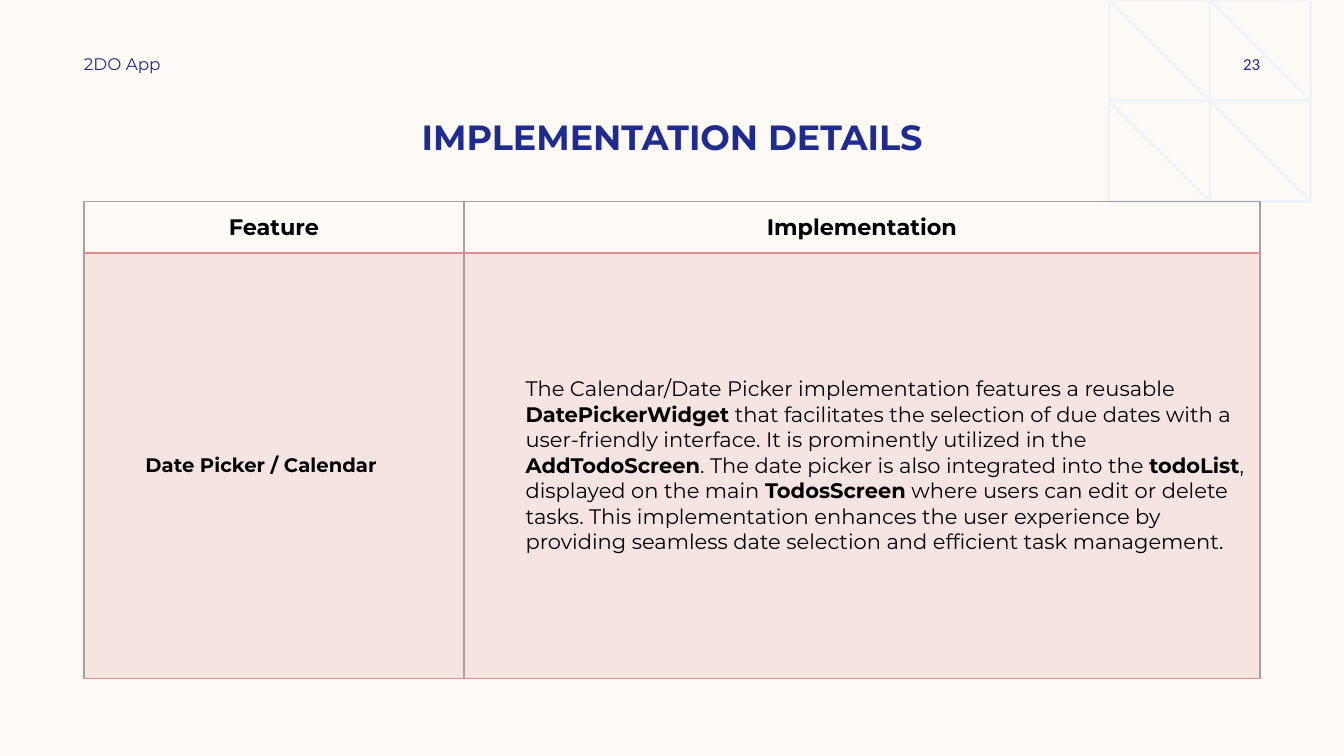
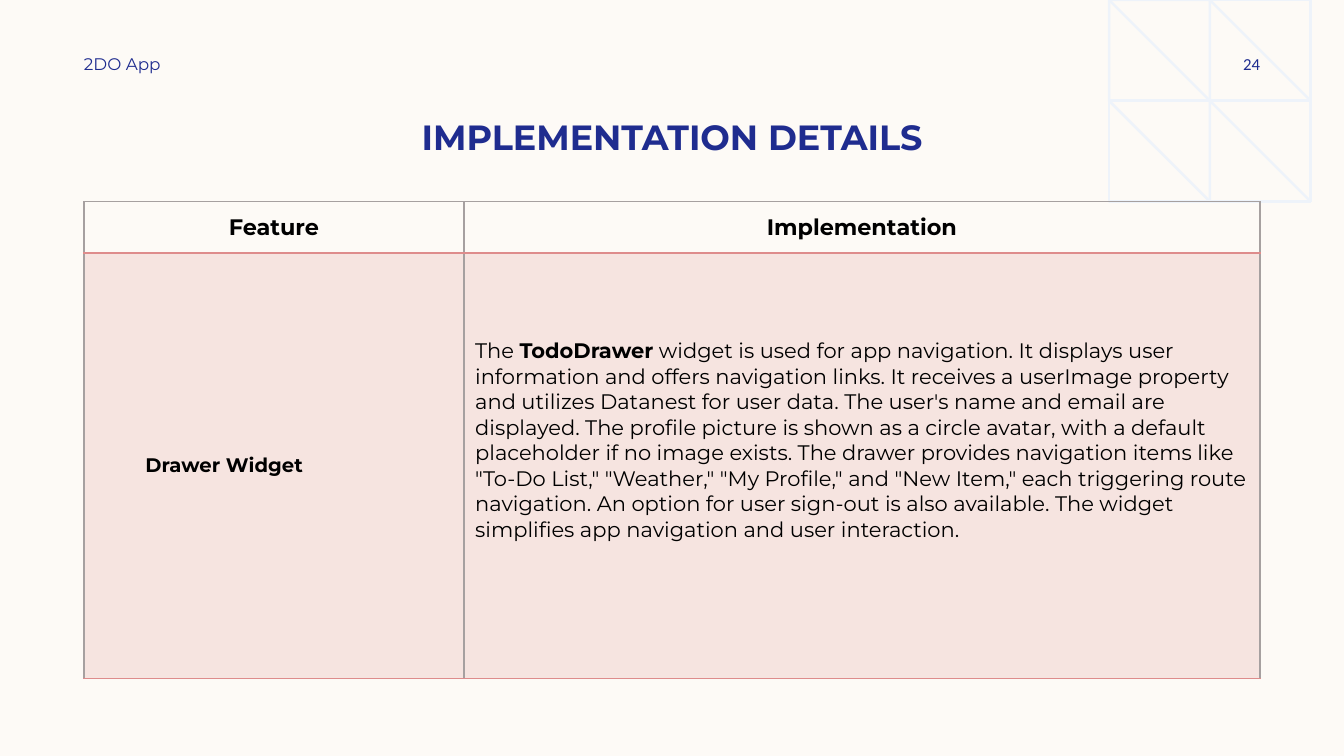
import math

from lxml import etree
from pptx import Presentation
from pptx import util as u
from pptx.dml.color import RGBColor
from pptx.enum import text
from pptx.oxml.ns import qn

CREAM, NAVY, BLACK = "FDFAF6", "1F2C8F", "000000"
ROSE, GREY, ICE = "DE8C8C", "A6A0A0", "EEF3FA"
FONT = "Montserrat"
LEFT, CENTER, RIGHT = text.PP_ALIGN.LEFT, text.PP_ALIGN.CENTER, text.PP_ALIGN.RIGHT
MIDDLE = text.MSO_ANCHOR.MIDDLE

FEATURES = [
    ("23", "Date Picker / Calendar",
     "The Calendar/Date Picker implementation features a reusable **DatePickerWidget** that "
     "facilitates the selection of due dates with a user-friendly interface. It is prominently "
     "utilized in the **AddTodoScreen**. The date picker is also integrated into the "
     "**todoList**, displayed on the main **TodosScreen** where users can edit or delete tasks. "
     "This implementation enhances the user experience by providing seamless date selection and "
     "efficient task management.",
     0.5, 0.05),
    ("24", "Drawer Widget",
     "The **TodoDrawer** widget is used for app navigation. It displays user information and "
     "offers navigation links. It receives a userImage property and utilizes Datanest for user "
     "data. The user's name and email are displayed. The profile picture is shown as a circle "
     "avatar, with a default placeholder if no image exists. The drawer provides navigation "
     "items like \"To-Do List,\" \"Weather,\" \"My Profile,\" and \"New Item,\" each triggering "
     "route navigation. An option for user sign-out is also available. The widget simplifies "
     "app navigation and user interaction.",
     0, 0.55),
]


def color(value):
    return RGBColor.from_string(value)


def write(frame, content, size, ink, align, font=FONT, bold=False):
    """Write one paragraph; words between double asterisks are bold."""
    frame.word_wrap = True
    para = frame.paragraphs[0]
    para.alignment = align
    para.font.name, para.font.size, para.font.bold = font, u.Pt(size), bold
    para.font.color.rgb = color(ink)
    for index, part in enumerate(content.split("**")):
        span = para.add_run()
        span.text = part
        if index % 2:
            span.font.bold = True
    return para


deck = Presentation()
deck.slide_width, deck.slide_height = u.Inches(13.33), u.Inches(7.5)
width = deck.slide_width
margin = width // 16
content_width = width - 2 * margin
layout = deck.slide_layouts[5]

# Shared background
layout.background.fill.solid()
layout.background.fill.fore_color.rgb = color(CREAM)

for number, feature, details, indent, bottom_inset in FEATURES:
    page = deck.slides.add_slide(layout)

    # Concentric arcs in the top right corner, drawn once and kept on the layout
    if number == FEATURES[0][0]:
        center_x, center_y = 13.33, -0.16
        builder = None
        for ring in range(17):
            radius, steps = 0.31 + 2.23 * ring / 16, 3 + ring // 2
            start = math.asin(-center_y / radius)
            angles = [start + (math.pi / 2 - start) * step / steps for step in range(steps + 1)]
            arc = [(center_x - radius * math.cos(angle), center_y + radius * math.sin(angle))
                   for angle in angles]
            if builder is None:
                builder = page.shapes.build_freeform(*arc[0], scale=u.Inches(1))
            else:
                builder.move_to(*arc[0])
            builder.add_line_segments(arc[1:], close=False)
        rings = builder.convert_to_shape()
        rings.shadow.inherit = False
        rings.fill.background()
        rings.line.color.rgb = color(ICE)
        rings.line.width = u.Pt(1.8)
        layout.shapes.element.insert(2, rings.element)

    # Title
    title = page.shapes.title
    title.left, title.top = margin, u.Inches(0.77)
    title.width, title.height = content_width, u.Inches(0.84)
    title.text_frame.auto_size = text.MSO_AUTO_SIZE.NONE
    title.text_frame.vertical_anchor = text.MSO_ANCHOR.BOTTOM
    write(title.text_frame, "IMPLEMENTATION DETAILS", 25, NAVY, CENTER, bold=True)

    # Running head and page number
    number_width = u.Inches(1.08)
    for content, left, box_width, align, font in (
            ("2DO App", margin, u.Inches(3.5), LEFT, FONT),
            (number, width - margin - number_width, number_width, RIGHT, "Calibri")):
        box = page.shapes.add_textbox(left, u.Inches(0.5), box_width, u.Inches(0.27))
        box.text_frame.margin_left = box.text_frame.margin_right = 0
        box.text_frame.vertical_anchor = MIDDLE
        write(box.text_frame, content, 12, NAVY, align, font)

    # Feature table
    table = page.shapes.add_table(2, 2, margin, u.Inches(2), content_width, u.Inches(4.73)).table
    table.first_row = table.horz_banding = False
    table.columns[0].width = u.Inches(3.77)
    table.columns[1].width = content_width - u.Inches(3.77)
    table.rows[0].height, table.rows[1].height = u.Inches(0.51), u.Inches(4.22)
    cells = (
        (0, 0, "Feature", 16, CENTER, True, 0, 0.05),
        (0, 1, "Implementation", 16, CENTER, True, 0, 0.05),
        (1, 0, feature, 14, LEFT, True, 0.5, 0.05),
        (1, 1, details, 15, LEFT, False, indent, bottom_inset),
    )
    for row, column, content, size, align, bold, inset, bottom in cells:
        cell = table.cell(row, column)
        cell.vertical_anchor = MIDDLE
        cell.margin_left = cell.margin_right = u.Inches(0.11)
        cell.margin_top, cell.margin_bottom = u.Inches(0.05), u.Inches(bottom)
        para = write(cell.text_frame, content, size, BLACK, align, bold=bold)
        if inset:
            properties = para._p.get_or_add_pPr()
            properties.set("marL", str(u.Inches(inset)))
            properties.set("indent", "0")

        # Borders come before the fill in the cell properties
        cell_properties = cell._tc.get_or_add_tcPr()
        top_edge, bottom_edge = (((GREY, 1), (ROSE, 2)), ((ROSE, 2), (ROSE, 1)))[row]
        edges = {"lnL": (GREY, 1), "lnR": (GREY, 1), "lnT": top_edge, "lnB": bottom_edge}
        for edge, (ink, points) in edges.items():
            line = etree.SubElement(cell_properties, qn("a:" + edge), w=str(u.Pt(points)))
            solid = etree.SubElement(line, qn("a:solidFill"))
            etree.SubElement(solid, qn("a:srgbClr"), val=ink)
        if row == 0:
            cell.fill.background()
        else:
            cell.fill.solid()
            cell.fill.fore_color.rgb = color(ROSE)
            tint = cell_properties.find(qn("a:solidFill")).find(qn("a:srgbClr"))
            etree.SubElement(tint, qn("a:alpha"), val="20000")

deck.save("out.pptx")
